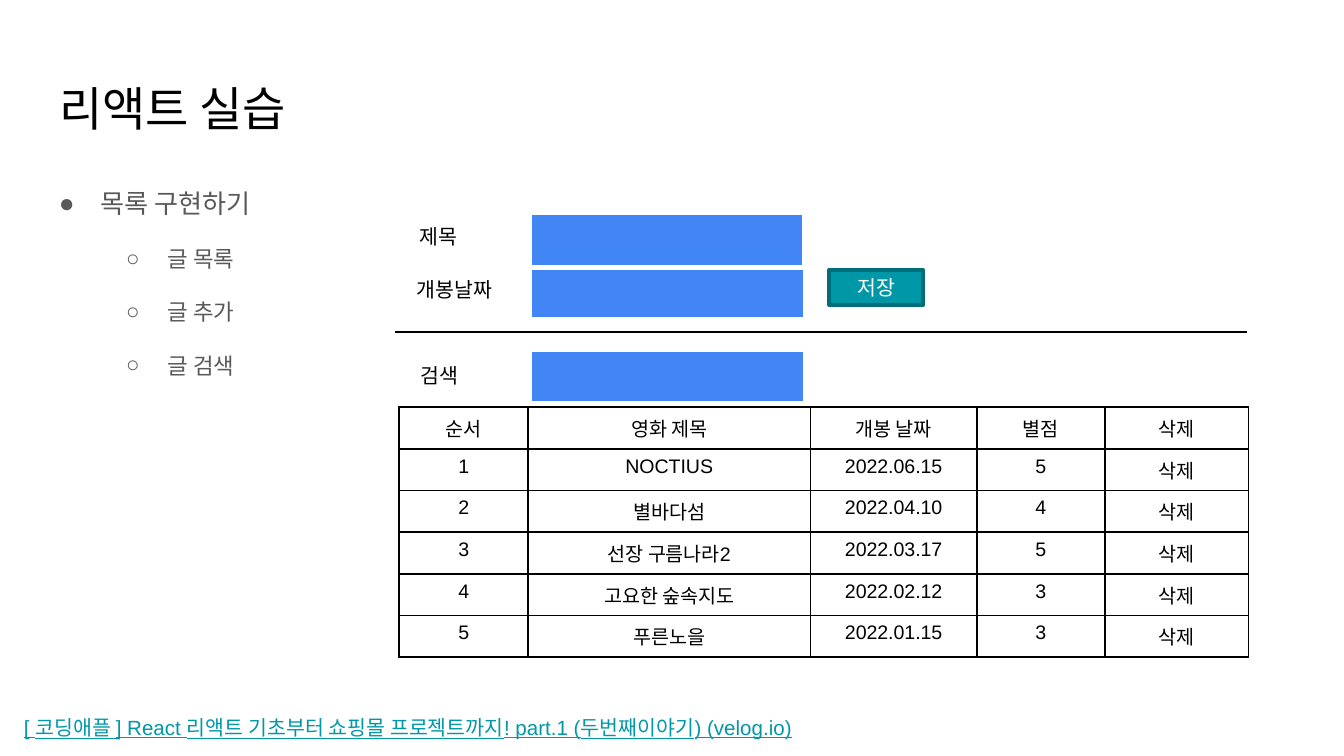
"""Build the slide on the React list exercise."""
from dataclasses import dataclass

import pptx
import pptx.dml.color
import pptx.enum.shapes
import pptx.enum.text
import pptx.oxml
import pptx.oxml.ns
import pptx.util
from lxml import etree

Inches = pptx.util.Inches
Pt = pptx.util.Pt
Align = pptx.enum.text.PP_ALIGN
Anchor = pptx.enum.text.MSO_ANCHOR
qn = pptx.oxml.ns.qn


@dataclass(frozen=True)
class Theme:
    font: str = "Arial"
    black: str = "000000"
    white: str = "FFFFFF"
    gray: str = "595959"
    blue: str = "4285F4"
    teal: str = "0097A7"
    edge: str = "006E79"
    head: float = 25.2
    body: float = 14
    sub: float = 12
    label: float = 11
    cell: float = 10.5


@dataclass(frozen=True)
class Label:
    text: str
    left: float
    top: float
    width: float
    color: str = Theme.black
    line: bool = False


@dataclass(frozen=True)
class Field:
    top: float
    width: float = 2.03
    high: float = 0.4


@dataclass(frozen=True)
class Point:
    text: str
    level: int = 0
    after: float = 0


THEME = Theme()
INPUTS = [
    (Field(2.61, high=0.39), Label("검색", 3.03, 2.65, 0.51)),
    (Field(1.98), Label("개봉날짜", 3, 2.01, 0.82)),
    (Field(1.59, 2.02), Label("제목", 3.02, 1.62, 0.51)),
]
LINK = Label("[ 코딩애플 ] React 리액트 기초부터 쇼핑몰 프로젝트까지! part.1 (두번째이야기) (velog.io)",
             0.08, 5.27, 9.58, THEME.teal, True)
POINTS = [Point("목록 구현하기"), Point("글 목록", 1), Point("글 추가", 1), Point("글 검색", 1, 12)]
COLS = [0.96, 2.1, 1.24, 0.95, 1.07]
HEADS = ["순서", "영화 제목", "개봉 날짜", "별점", "삭제"]
FILMS = [
    ("NOCTIUS", "2022.06.15", "5"),
    ("별바다섬", "2022.04.10", "4"),
    ("선장 구름나라2", "2022.03.17", "5"),
    ("고요한 숲속지도", "2022.02.12", "3"),
    ("푸른노을", "2022.01.15", "3"),
]


def rgb(color: str):
    """Return a colour value."""
    return pptx.dml.color.RGBColor.from_string(color)


def write(para, text: str, size: float, color: str, line: bool = False) -> None:
    """Add one styled run."""
    run = para.add_run()
    run.text = text
    run.font.name = THEME.font
    run.font.size = Pt(size)
    run.font.color.rgb = rgb(color)
    if line:
        run.font.underline = True


def pad(frame, side: float = 0.1, end: float = 0.05) -> None:
    """Set wrapping and insets."""
    frame.word_wrap = True
    frame.margin_left = frame.margin_right = Inches(side)
    frame.margin_top = frame.margin_bottom = Inches(end)


def draw_title(slide, text: str) -> None:
    """Place and fill the title."""
    title = slide.shapes.title
    title.left, title.top = Inches(0.34), Inches(0.49)
    title.width, title.height = Inches(9.32), Inches(0.63)
    frame = title.text_frame
    pad(frame, end=0.1)
    frame.auto_size = pptx.enum.text.MSO_AUTO_SIZE.NONE
    frame.vertical_anchor = Anchor.TOP
    para = frame.paragraphs[0]
    para.alignment = Align.LEFT
    write(para, text, THEME.head, THEME.black)


def draw_list(slide, points: list[Point]) -> None:
    """Draw the bullet list."""
    box = slide.shapes.add_textbox(Inches(0.34), Inches(1.26), Inches(2.31), Inches(2.04))
    frame = box.text_frame
    pad(frame, end=0.1)
    for i, point in enumerate(points):
        para = frame.paragraphs[0] if i == 0 else frame.add_paragraph()
        props = para._p.get_or_add_pPr()
        props.set("marL", str(Inches(0.31 + 0.5 * point.level)))
        props.set("indent", str(-Inches(0.31)))
        tint = etree.SubElement(props, qn("a:buClr"))
        etree.SubElement(tint, qn("a:srgbClr"), val=THEME.gray)
        etree.SubElement(props, qn("a:buFont"), typeface=THEME.font)
        etree.SubElement(props, qn("a:buChar"), char="●○"[point.level])
        para.level = point.level
        para.line_spacing = 1.15
        para.space_before = Pt(12 * point.level)
        para.space_after = Pt(point.after)
        write(para, point.text, THEME.sub if point.level else THEME.body, THEME.gray)


def draw_label(slide, label: Label) -> None:
    """Draw one text label."""
    box = slide.shapes.add_textbox(
        Inches(label.left), Inches(label.top), Inches(label.width), Inches(0.29))
    pad(box.text_frame)
    write(box.text_frame.paragraphs[0], label.text, THEME.label, label.color, label.line)


def edge(cell, color: str, base: float = 1) -> None:
    """Set the four borders of a cell."""
    props = cell._tc.get_or_add_tcPr()
    for side in "LRTB":
        width = Pt(base if side == "B" else 1)
        line = etree.SubElement(props, qn(f"a:ln{side}"), w=str(width))
        fill = etree.SubElement(line, qn("a:solidFill"))
        etree.SubElement(fill, qn("a:srgbClr"), val=color)


def add_grid(slide, left: float, top: float, cols: list[float], rows: int, high: float):
    """Add a plain table."""
    grid = slide.shapes.add_table(rows, len(cols), Inches(left), Inches(top),
                                  Inches(sum(cols)), Inches(high * rows)).table
    grid.first_row = grid.horz_banding = False
    for col, width in zip(grid.columns, cols):
        col.width = Inches(width)
    return grid


def draw_field(slide, field: Field) -> None:
    """Draw one blue input field."""
    cell = add_grid(slide, 3.95, field.top, [field.width], 1, field.high).cell(0, 0)
    edge(cell, THEME.white, 3)
    cell.fill.solid()
    cell.fill.fore_color.rgb = rgb(THEME.blue)
    cell.text_frame.paragraphs[0].font.size = Pt(THEME.body)


def draw_films(slide) -> None:
    """Draw the film table."""
    rows = [HEADS] + [[str(i), *film, "삭제"] for i, film in enumerate(FILMS, 1)]
    grid = add_grid(slide, 2.97, 3.03, COLS, len(rows), 0.31)
    for r, row in enumerate(rows):
        for c, text in enumerate(row):
            cell = grid.cell(r, c)
            edge(cell, THEME.black)
            cell.fill.background()
            para = cell.text_frame.paragraphs[0]
            para.alignment = Align.CENTER
            write(para, text, THEME.cell, THEME.black)


def draw_rule(slide) -> None:
    """Draw the line between form and search."""
    rule = slide.shapes.add_connector(pptx.enum.shapes.MSO_CONNECTOR.STRAIGHT,
                                      Inches(2.94), Inches(2.47), Inches(9.28), Inches(2.47))
    rule.line.color.rgb = rgb(THEME.black)
    rule.line.width = Pt(0.75)
    etree.SubElement(rule._element.spPr, qn("a:effectLst"))


def draw_button(slide, text: str) -> None:
    """Draw the save button."""
    box = slide.shapes.add_shape(pptx.enum.shapes.MSO_SHAPE.RECTANGLE,
                                 Inches(6.17), Inches(2.01), Inches(0.7), Inches(0.26))
    box.shadow.inherit = False
    box.fill.solid()
    box.fill.fore_color.rgb = rgb(THEME.teal)
    box.line.color.rgb = rgb(THEME.edge)
    box.line.width = Pt(2)
    pad(box.text_frame)
    box.text_frame.vertical_anchor = Anchor.MIDDLE
    para = box.text_frame.paragraphs[0]
    para.alignment = Align.CENTER
    write(para, text, THEME.label, THEME.white)


def main() -> None:
    """Build and save the deck."""
    deck = pptx.Presentation()
    deck.slide_width, deck.slide_height = Inches(10), Inches(10 * 9 / 16)
    slide = deck.slides.add_slide(deck.slide_layouts[5])
    draw_title(slide, "리액트 실습")
    draw_list(slide, POINTS)
    draw_films(slide)
    for field, label in INPUTS:
        draw_field(slide, field)
        draw_label(slide, label)
    draw_rule(slide)
    draw_button(slide, "저장")
    draw_label(slide, LINK)
    deck.save("out.pptx")


if __name__ == "__main__":
    main()
